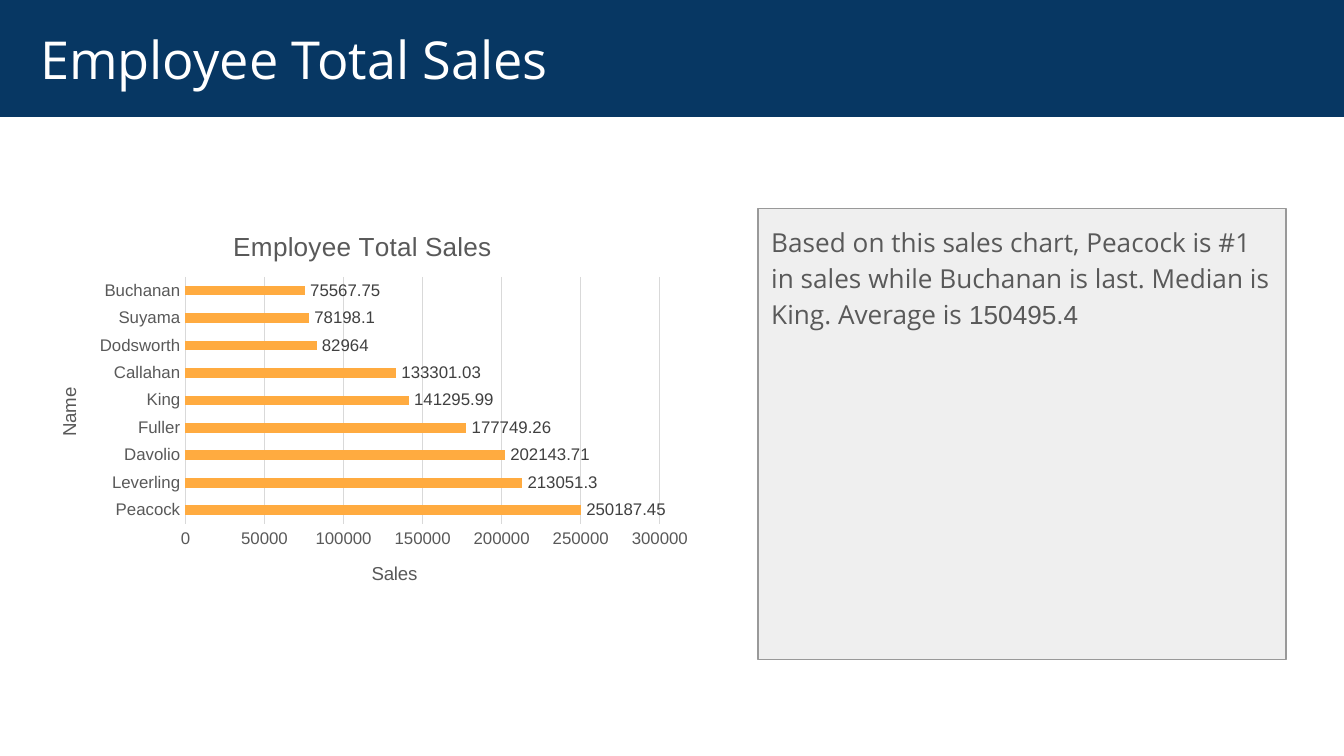
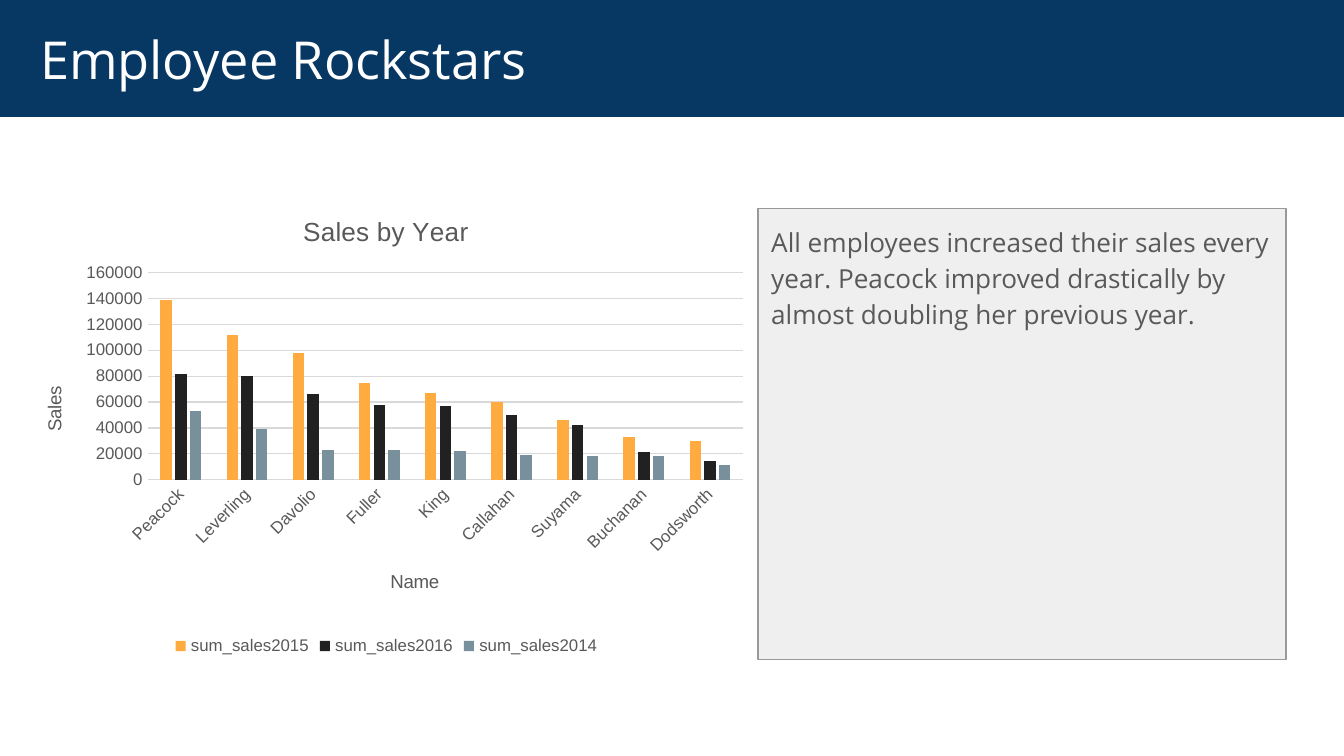
from lxml.etree import SubElement
from pptx import Presentation
from pptx.chart.data import CategoryChartData
from pptx.dml.color import RGBColor
from pptx.enum.chart import (XL_CHART_TYPE, XL_LABEL_POSITION,
                             XL_LEGEND_POSITION, XL_TICK_MARK)
from pptx.enum.shapes import MSO_SHAPE
from pptx.enum.text import MSO_ANCHOR, PP_ALIGN
from pptx.oxml.ns import qn
from pptx.util import Inches, Pt

COLORS = {
    "white": "FFFFFF", "band": "073763", "panel": "EFEFEF", "border": "999999",
    "text": "595959", "label": "404040", "grid": "D9D9D9",
    "orange": "FFAB40", "black": "212121", "slate": "78909C",
}
BAND = (0, 0, 10, 0.87)
PANEL = (5.64, 1.55, 3.93, 3.36)

# Chart places are inches on the slide; titles give their left and top.
SLIDES = [
    {
        "title": "Employee Total Sales",
        "comment": [
            ("Based on this sales chart, Peacock is #1 in sales while Buchanan "
             "is last. Median is King. Average is ", "Open Sans"),
            ("150495.4", "Arial"),
        ],
        "chart": {
            "type": XL_CHART_TYPE.BAR_CLUSTERED,
            "place": (0.22, 1.55, 5, 3),
            "plot": (1.38, 2.06, 3.53, 1.84),
            "title": ("Employee Total Sales", 1.7, 1.67),
            "category_title": ("Name", 0.4, 2.86),
            "value_title": ("Sales", 2.74, 4.15),
            "scale": (300000, 50000),
            "gap": 182, "overlap": 0, "labels": True, "legend": False,
            "rotation": 0,
            "categories": ["Peacock", "Leverling", "Davolio", "Fuller", "King",
                           "Callahan", "Dodsworth", "Suyama", "Buchanan"],
            "series": [
                ("Series 1", "orange",
                 [250187.45, 213051.3, 202143.71, 177749.26, 141295.99,
                  133301.03, 82964, 78198.1, 75567.75]),
            ],
        },
    },
    {
        "title": "Employee Rockstars",
        "comment": [
            ("All employees increased their sales every year. Peacock improved "
             "drastically by almost doubling her previous year.", "Open Sans"),
        ],
        "chart": {
            "type": XL_CHART_TYPE.COLUMN_CLUSTERED,
            "place": (0.11, 1.45, 5.53, 3.47),
            "plot": (1.1, 2.03, 4.43, 1.54),
            "title": ("Sales by Year", 2.22, 1.56),
            "category_title": ("Name", 2.88, 4.21),
            "value_title": ("Sales", 0.29, 2.85),
            "scale": (160000, 20000),
            "gap": 219, "overlap": -27, "labels": False, "legend": True,
            "rotation": -45,
            "categories": ["Peacock", "Leverling", "Davolio", "Fuller", "King",
                           "Callahan", "Suyama", "Buchanan", "Dodsworth"],
            "series": [
                ("sum_sales2015", "orange",
                 [139000, 112000, 98000, 75000, 67000, 60000, 46000, 33000, 30000]),
                ("sum_sales2016", "black",
                 [82000, 80000, 66000, 58000, 57000, 50000, 42000, 21000, 14000]),
                ("sum_sales2014", "slate",
                 [53000, 39000, 23000, 23000, 22000, 19000, 18000, 18000, 11000]),
            ],
        },
    },
]


def color(name):
    """Return the named colour."""
    return RGBColor.from_string(COLORS[name])


def paint(fill, name):
    """Make a fill solid in the named colour."""
    fill.solid()
    fill.fore_color.rgb = color(name)


def style_font(font, size, name="text", family="Arial"):
    """Set the size, colour and family of a font."""
    for key, value in {"size": Pt(size), "name": family, "bold": False}.items():
        setattr(font, key, value)
    font.color.rgb = color(name)


def add_box(page, place, fill, runs, size, text_color, **frame_format):
    """Add a filled rectangle holding one left-aligned paragraph."""
    box = page.shapes.add_shape(MSO_SHAPE.RECTANGLE, *map(Inches, place))
    box.shadow.inherit = False
    paint(box.fill, fill)
    box.line.fill.background()
    frame = box.text_frame
    settings = {"word_wrap": True, "vertical_anchor": MSO_ANCHOR.TOP}
    for side in ("left", "top", "right", "bottom"):
        settings["margin_" + side] = Inches(0.1)
    for key, value in {**settings, **frame_format}.items():
        setattr(frame, key, value)
    para = frame.paragraphs[0]
    para.alignment = PP_ALIGN.LEFT
    for text, family in runs:
        span = para.add_run()
        span.text = text
        style_font(span.font, size, text_color, family)
    return box


def add_layout(parent, index, chart_place, place, inner=False):
    """Fix a chart part at a place given in inches on the slide."""
    for old in parent.findall(qn("c:layout")):
        parent.remove(old)
    layout = SubElement(parent, qn("c:layout"))
    parent.insert(index, layout)
    manual = SubElement(layout, qn("c:manualLayout"))
    left, top, width, height = chart_place
    values = [("xMode", "edge"), ("yMode", "edge"),
              ("x", (place[0] - left) / width), ("y", (place[1] - top) / height)]
    if inner:
        values.insert(0, ("layoutTarget", "inner"))
        values += [("w", place[2] / width), ("h", place[3] / height)]
    for tag, value in values:
        SubElement(manual, qn("c:" + tag)).set("val", str(value))


def set_title(title, content, size, chart_place):
    """Write and place the title of a chart or an axis."""
    text, *place = content
    para = title.text_frame.paragraphs[0]
    span = para.add_run()
    span.text = text
    style_font(span.font, size)
    add_layout(title._element, 1, chart_place, place)


def style_axes(chart, content):
    """Format both axes, their titles and the gridlines."""
    category, value = chart.category_axis, chart.value_axis
    for axis, key in ((category, "category_title"), (value, "value_title")):
        axis.major_tick_mark = axis.minor_tick_mark = XL_TICK_MARK.NONE
        style_font(axis.tick_labels.font, 9)
        set_title(axis.axis_title, content[key], 10, content["place"])
    value.minimum_scale = 0
    value.maximum_scale, value.major_unit = content["scale"]
    value.has_major_gridlines = True
    value.format.line.fill.background()
    for line in (category.format.line, value.major_gridlines.format.line):
        line.color.rgb = color("grid")
        line.width = Pt(0.75)
    if content["rotation"]:
        body = category._element.find(qn("c:txPr")).find(qn("a:bodyPr"))
        body.set("rot", str(content["rotation"] * 60000))


def add_sales_chart(page, content):
    """Add a clustered chart of sales by employee."""
    data = CategoryChartData()
    data.categories = content["categories"]
    for name, _, values in content["series"]:
        data.add_series(name, values)
    place = content["place"]
    chart = page.shapes.add_chart(content["type"], *map(Inches, place), data).chart
    style_font(chart.font, 10)
    chart.has_title = True
    set_title(chart.chart_title, content["title"], 14, place)
    style_axes(chart, content)
    plot = chart.plots[0]
    plot.vary_by_categories = False
    plot.gap_width, plot.overlap = content["gap"], content["overlap"]
    for series, (_, name, _) in zip(plot.series, content["series"]):
        series.invert_if_negative = False
        paint(series.format.fill, name)
        if content["labels"]:
            labels = series.data_labels
            labels.show_value = True
            labels.position = XL_LABEL_POSITION.OUTSIDE_END
            style_font(labels.font, 9, "label")
    chart.has_legend = content["legend"]
    if chart.has_legend:
        chart.legend.position = XL_LEGEND_POSITION.BOTTOM
        chart.legend.include_in_layout = False
        style_font(chart.legend.font, 9)
    plot_area = chart._chartSpace.chart.plotArea
    add_layout(plot_area, 0, place, content["plot"], inner=True)


def add_slide(deck, content):
    """Add a slide with a comment panel, a title band and a chart."""
    page = deck.slides.add_slide(deck.slide_layouts[6])
    paint(page.background.fill, "white")
    panel = add_box(page, PANEL, "panel", content["comment"], 14, "text")
    panel.line.color.rgb = color("border")
    panel.line.width = Pt(0.75)
    para = panel.text_frame.paragraphs[0]
    para.line_spacing, para.space_after = 1.15, Pt(16)
    add_box(page, BAND, "band", [(content["title"], "Open Sans")], 28, "white",
            margin_left=Inches(0.3), vertical_anchor=MSO_ANCHOR.MIDDLE)
    add_sales_chart(page, content["chart"])


deck = Presentation()
deck.slide_width = Inches(10)
deck.slide_height = deck.slide_width * 9 // 16
for slide_content in SLIDES:
    add_slide(deck, slide_content)
deck.save("out.pptx")
